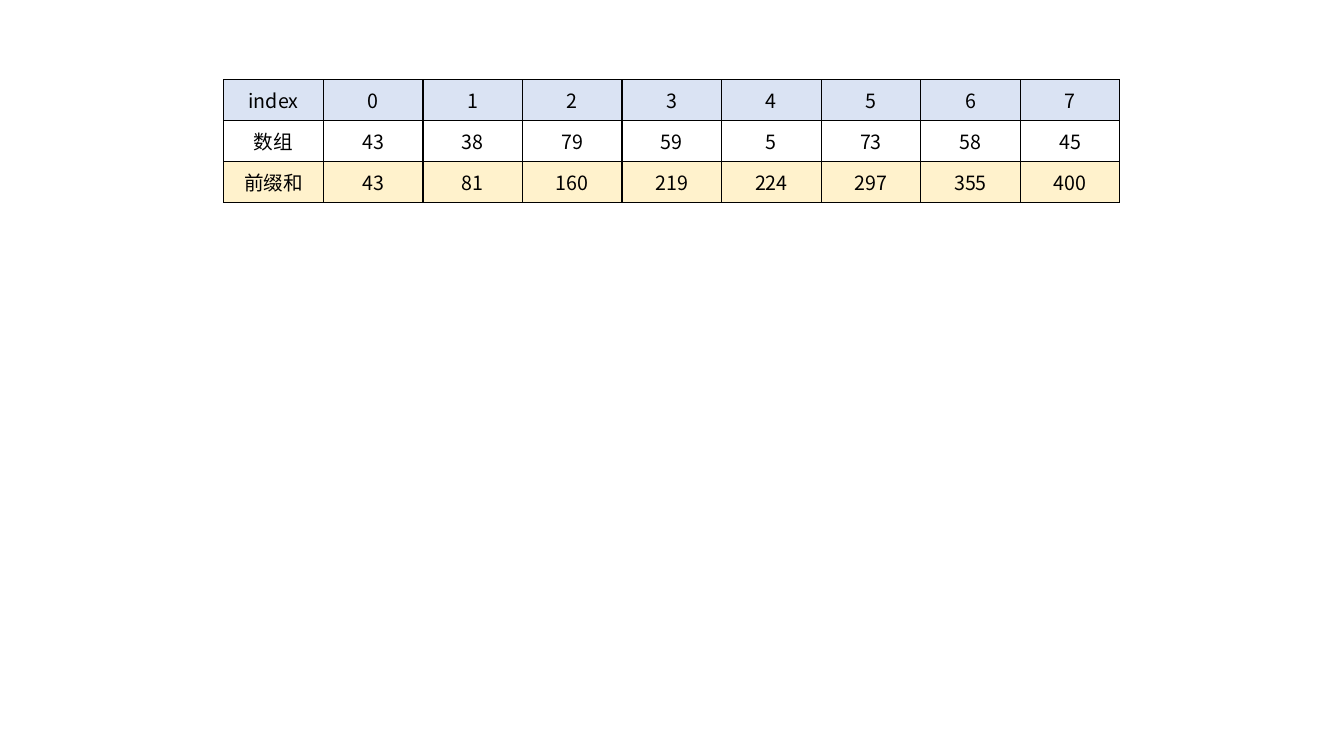
from itertools import accumulate

from lxml import etree
from pptx import Presentation
from pptx.dml.color import RGBColor
from pptx.enum.text import MSO_ANCHOR, PP_ALIGN
from pptx.oxml.ns import qn
from pptx.util import Inches, Pt

CENTER = PP_ALIGN.CENTER
MIDDLE = MSO_ANCHOR.MIDDLE

THEME = {
    "font": "Noto Sans CJK SC",
    "size": Pt(14),
    "ink": "000000",
    "border": Pt(1),
    "header": "DAE3F3",
    "array": None,
    "prefix": "FFF2CC",
}


def set_borders(cell):
    """Draw a solid line on all four sides, placed ahead of the fill."""
    tc_pr = cell._tc.get_or_add_tcPr()
    for i, side in enumerate(("lnL", "lnR", "lnT", "lnB")):
        ln = etree.Element(qn(f"a:{side}"), w=str(THEME["border"]))
        fill = etree.SubElement(ln, qn("a:solidFill"))
        etree.SubElement(fill, qn("a:srgbClr"), val=THEME["ink"])
        tc_pr.insert(i, ln)


def set_text(cell, text):
    """Write centred text in the theme font, for Latin and Chinese alike."""
    cell.text_frame.text = text
    cell.vertical_anchor = MIDDLE
    p = cell.text_frame.paragraphs[0]
    p.alignment = CENTER
    r = p.runs[0]
    r.font.size = THEME["size"]
    r.font.name = THEME["font"]
    r.font.color.rgb = RGBColor.from_string(THEME["ink"])
    etree.SubElement(r._r.get_or_add_rPr(), qn("a:ea"), typeface=THEME["font"])


prs = Presentation()
prs.slide_width = Inches(13.33)
prs.slide_height = Inches(7.5)
s = prs.slides.add_slide(prs.slide_layouts[6])

# Data: the prefix sums follow from the array
values = [43, 38, 79, 59, 5, 73, 58, 45]
rows = [
    ("index", range(len(values)), THEME["header"]),
    ("数组", values, THEME["array"]),
    ("前缀和", accumulate(values), THEME["prefix"]),
]

# Table with equal rows and columns
table = s.shapes.add_table(
    len(rows), len(values) + 1,
    Inches(2.22), Inches(0.79), Inches(8.89), Inches(1.22),
).table
table.first_row = False
table.horz_banding = False

for row, (label, numbers, color) in enumerate(rows):
    for col, content in enumerate([label, *numbers]):
        cell = table.cell(row, col)
        set_text(cell, str(content))
        if color:
            cell.fill.solid()
            cell.fill.fore_color.rgb = RGBColor.from_string(color)
        else:
            cell.fill.background()
        set_borders(cell)

prs.save("out.pptx")
